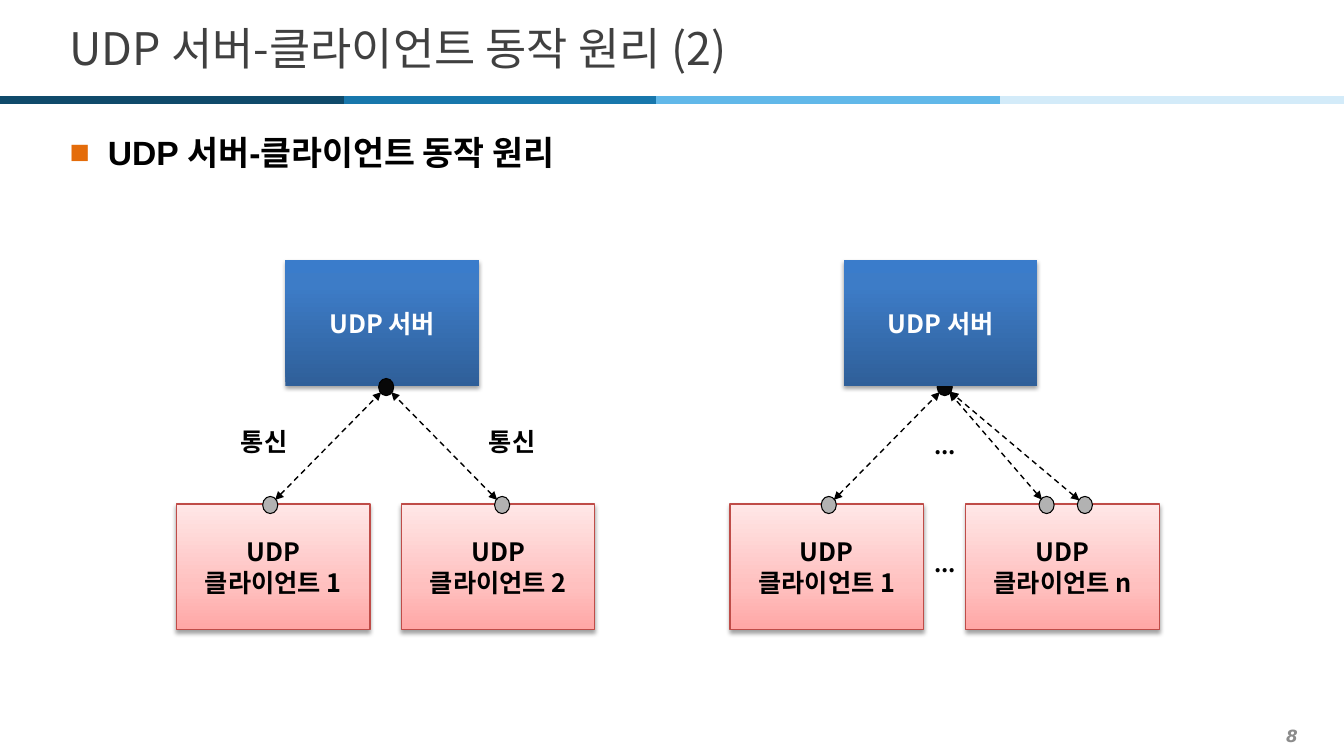
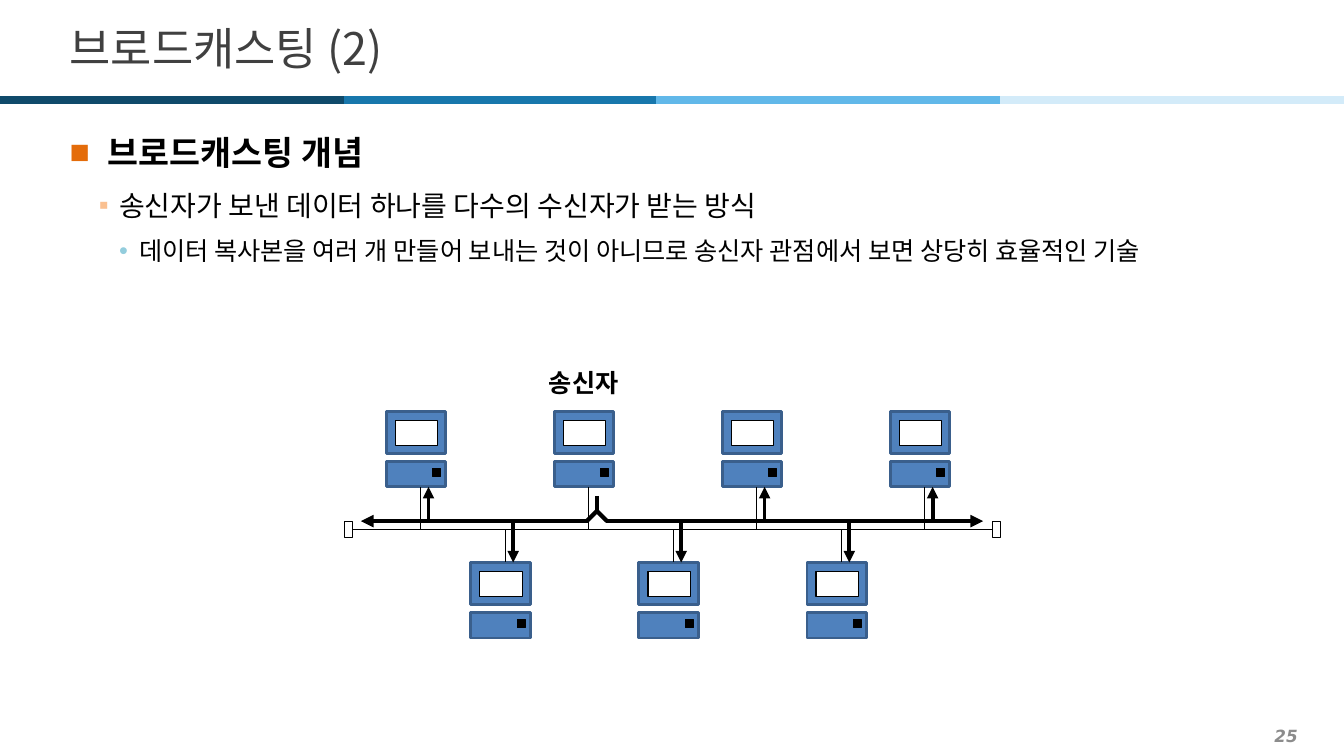
import math

import pptx
import pptx.dml.color
import pptx.enum.dml
import pptx.enum.shapes
import pptx.enum.text
import pptx.oxml
import pptx.oxml.ns
import pptx.util
from lxml import etree

Inches = pptx.util.Inches
Pt = pptx.util.Pt
RGBColor = pptx.dml.color.RGBColor
qn = pptx.oxml.ns.qn
SHAPE = pptx.enum.shapes.MSO_SHAPE
ALIGN = pptx.enum.text.PP_ALIGN
MIDDLE = pptx.enum.text.MSO_ANCHOR.MIDDLE

BLACK = RGBColor(0x00, 0x00, 0x00)
WHITE = RGBColor(0xFF, 0xFF, 0xFF)
TITLE_GREY = RGBColor(0x40, 0x40, 0x40)
NUMBER_GREY = RGBColor(0x8C, 0x8C, 0x8C)
PORT_GREY = RGBColor(0xB2, 0xB2, 0xB2)
SOCKET_BLACK = RGBColor(0x08, 0x08, 0x08)
CLIENT_LINE = RGBColor(0xBF, 0x4C, 0x48)
COMPUTER_BLUE = RGBColor(0x4F, 0x81, 0xBD)
COMPUTER_LINE = RGBColor(0x3A, 0x5F, 0x8C)
ORANGE = RGBColor(0xE4, 0x6C, 0x0A)
PEACH = RGBColor(0xFA, 0xC0, 0x90)
AQUA = RGBColor(0x93, 0xCD, 0xDD)

# start, end, colour; the dark band lies over the one beside it
BANDS = [
    (3.10, 6.51, RGBColor(0x18, 0x77, 0xAC)),
    (6.51, 9.92, RGBColor(0x61, 0xB8, 0xE9)),
    (9.92, 13.33, RGBColor(0xD3, 0xEB, 0xF9)),
    (0, 3.41, RGBColor(0x0F, 0x4A, 0x6B)),
]
# position in percent, colour, from the bottom up
SERVER_STOPS = [(0, RGBColor(0x2F, 0x5F, 0x99)), (80, RGBColor(0x3D, 0x7C, 0xC7)),
                (100, RGBColor(0x3A, 0x7C, 0xCB))]
CLIENT_STOPS = [(0, RGBColor(0xFF, 0xA6, 0xA5)), (35, RGBColor(0xFF, 0xC0, 0xBF)),
                (100, RGBColor(0xFF, 0xE7, 0xE7))]

KOREAN = "Noto Sans CJK KR"
TITLE_FONT = dict(name=KOREAN, size=Pt(32), bold=False)
NUMBER_FONT = dict(name="DejaVu Sans", size=Pt(12), bold=True, italic=True)
LABEL_FONT = dict(name=KOREAN, size=Pt(18), bold=True)
DOTS_FONT = dict(name=KOREAN, size=Pt(16), bold=True)

# one entry for each list level: font, spacing, indents, bullet
LEVELS = [
    dict(font=dict(name="Arial", size=Pt(24), bold=True),
         spacing=dict(line_spacing=1.2, space_before=Pt(0), space_after=Pt(2)),
         margin=0.38, hanging=0.38, bullet="■", color=ORANGE),
    dict(font=dict(name=KOREAN, size=Pt(20), bold=False),
         spacing=dict(line_spacing=1.3, space_before=Pt(2), space_after=Pt(2)),
         margin=0.49, hanging=0.2, bullet="▪", color=PEACH),
    dict(font=dict(name=KOREAN, size=Pt(18), bold=False),
         spacing=dict(line_spacing=1.2, space_before=Pt(3.6), space_after=Pt(6)),
         margin=0.69, hanging=0.2, bullet="•", color=AQUA),
]

SERVER_SIZE = CLIENT_SIZE = (1.92, 1.25)
DOT_WIDTH, DOT_HEIGHT = 0.15, 0.17
PITCH = 5 / 3


def set_all(target, values):
    for name, value in values.items():
        setattr(target, name, value)


def add_span(para, text, font, color):
    span = para.add_run()
    span.text = text
    set_all(span.font, font)
    span.font.color.rgb = color
    etree.SubElement(span.font._element, qn("a:ea"), typeface=KOREAN)


def add_color(parent, color):
    return etree.SubElement(parent, qn("a:srgbClr"), val=str(color))


def add_line(page, start, end, color=BLACK, width=0.75, dashed=False, heads=()):
    """heads names the arrowhead elements wanted: headEnd, tailEnd."""
    line = page.shapes.add_connector(
        pptx.enum.shapes.MSO_CONNECTOR.STRAIGHT,
        *[Inches(value) for value in (*start, *end)])
    line.line.color.rgb = color
    line.line.width = Pt(width)
    if dashed:
        line.line.dash_style = pptx.enum.dml.MSO_LINE.DASH
    properties = line.element.spPr
    for head in heads:
        etree.SubElement(properties.find(qn("a:ln")), qn(f"a:{head}"), type="triangle")
    etree.SubElement(properties, qn("a:effectLst"))
    return line


def add_block(page, kind, left, top, width, height, fill=None, line=BLACK, weight=0.75):
    shape = page.shapes.add_shape(
        kind, *[Inches(value) for value in (left, top, width, height)])
    shape.shadow.inherit = False
    if fill is not None:
        shape.fill.solid()
        shape.fill.fore_color.rgb = fill
    if line is None:
        shape.line.fill.background()
    else:
        shape.line.color.rgb = line
        shape.line.width = Pt(weight)
    return shape


def add_label(page, left, top, width, height, text, font=LABEL_FONT,
              color=BLACK, align=ALIGN.CENTER):
    box = page.shapes.add_textbox(
        *[Inches(value) for value in (left, top, width, height)])
    set_all(box.text_frame, dict(word_wrap=True, vertical_anchor=MIDDLE,
                                 margin_top=0, margin_bottom=0))
    para = box.text_frame.paragraphs[0]
    para.alignment = align
    add_span(para, text, font, color)


def add_node(page, left, top, size, lines, stops, color, line=None):
    """Rectangle with a vertical gradient, a soft shadow and centred text."""
    node = add_block(page, SHAPE.RECTANGLE, left, top, *size, line=line)
    node.fill.gradient()
    node.fill.gradient_angle = 90
    properties = node.element.spPr
    stop_list = properties.find(qn("a:gradFill")).find(qn("a:gsLst"))
    for stop in list(stop_list):
        stop_list.remove(stop)
    for percent, stop_color in stops:
        add_color(etree.SubElement(stop_list, qn("a:gs"), pos=str(percent * 1000)),
                  stop_color)
    shadow = etree.SubElement(
        properties.find(qn("a:effectLst")), qn("a:outerShdw"), blurRad=str(Pt(3.1)),
        dist=str(Pt(1.7)), dir="5400000", rotWithShape="0")
    etree.SubElement(add_color(shadow, BLACK), qn("a:alpha"), val="36000")
    frame = node.text_frame
    set_all(frame, dict(word_wrap=False, vertical_anchor=MIDDLE))
    for index, text in enumerate(lines):
        para = frame.add_paragraph() if index else frame.paragraphs[0]
        para.alignment = ALIGN.CENTER
        add_span(para, text, LABEL_FONT, color)


def add_dot(page, center, fill):
    add_block(page, SHAPE.OVAL, center[0] - DOT_WIDTH / 2, center[1] - DOT_HEIGHT / 2,
              DOT_WIDTH, DOT_HEIGHT, fill)


def add_link(page, port, socket, gap=0.07):
    """Two-way dashed arrow that stops short of both dots."""
    across, down = socket[0] - port[0], socket[1] - port[1]
    share = gap / math.hypot(across, down)
    add_line(page, (port[0] + across * share, port[1] + down * share),
             (socket[0] - across * share, socket[1] - down * share),
             width=1, dashed=True, heads=("headEnd", "tailEnd"))


def draw_server_and_clients(page, left, top, server_offset, clients, socket_in_front):
    """clients lists the offset, name and port offsets of each client."""
    client_top = top + 2.42
    server_left = left + server_offset
    socket = (server_left + 1, top + 1.26)

    def draw_server():
        add_node(page, server_left, top, SERVER_SIZE, ["UDP 서버"], SERVER_STOPS, WHITE)

    def draw_socket():
        add_dot(page, socket, SOCKET_BLACK)

    steps = [draw_server, draw_socket]
    for step in steps if socket_in_front else reversed(steps):
        step()
    for offset, name, ports in clients:
        add_node(page, left + offset, client_top, CLIENT_SIZE,
                 ["UDP", f"클라이언트 {name}"], CLIENT_STOPS, BLACK, CLIENT_LINE)
        for port_offset in ports:
            port = (left + offset + port_offset, client_top + 0.01)
            add_dot(page, port, PORT_GREY)
            add_link(page, port, socket)


def draw_computer(page, left, top):
    parts = [
        (0, 0, 0.59, 0.42, COMPUTER_BLUE, COMPUTER_LINE, 2),
        (0, 0.5, 0.59, 0.25, COMPUTER_BLUE, COMPUTER_LINE, 2),
        (0.46, 0.57, 0.08, 0.08, BLACK, BLACK, 0.75),
        (0.09, 0.09, 0.42, 0.25, WHITE, BLACK, 0.75),
    ]
    for across, down, *rest in parts:
        add_block(page, SHAPE.RECTANGLE, left + across, top + down, *rest)


def draw_network(page, left, top, width):
    """Bus with four computers above it, the second sending, and three below."""
    bus = top + 1.67
    flow = bus - 0.08
    ends = [add_block(page, SHAPE.RECTANGLE, end, bus - 0.08, 0.08, 0.16, WHITE)
            for end in (left, left + width - 0.08)]
    cable = add_line(page, (left + 0.08, bus), (left + width - 0.08, bus))
    cable.begin_connect(ends[0], 3)
    cable.end_connect(ends[1], 1)

    sender = 1
    rows = [(4, left + 0.41, top + 0.5, top + 1.25, sender),
            (3, left + 1.25, top + 2, top + 2, None)]
    for count, first, row_top, port, silent in rows:
        for index in range(count):
            computer = first + index * PITCH
            draw_computer(page, computer, row_top)
            add_line(page, (computer + 0.34, bus), (computer + 0.34, port))
            if index != silent:
                add_line(page, (computer + 0.42, flow), (computer + 0.42, port),
                         width=2.75, heads=("tailEnd",))

    fork = left + 2.5
    add_line(page, (fork, flow - 0.25), (fork, flow - 0.09), width=3)
    for side, tip in ((-1, left + 0.16), (1, left + width - 0.17)):
        add_line(page, (fork, flow - 0.1), (fork + side * 0.1, flow), width=3)
        add_line(page, (fork + side * 0.09, flow), (tip, flow), width=3,
                 heads=("tailEnd",))
    add_label(page, left + 1.41, top, 1.92, 0.42, "송신자")


def place_placeholders(layout):
    for holder, top, height in zip(layout.placeholders, (0.13, 1.18), (0.68, 6.03)):
        set_all(holder, dict(left=Inches(0.59), top=Inches(top),
                             width=Inches(12.21), height=Inches(height)))


def fill_list(frame, items):
    frame.auto_size = pptx.enum.text.MSO_AUTO_SIZE.NONE
    for level, text in enumerate(items):
        style = LEVELS[level]
        para = frame.add_paragraph() if level else frame.paragraphs[0]
        para.level = level
        set_all(para, style["spacing"])
        add_span(para, text, style["font"], BLACK)
        properties = para._p.get_or_add_pPr()
        properties.set("marL", str(Inches(style["margin"])))
        properties.set("indent", str(-Inches(style["hanging"])))
        add_color(etree.SubElement(properties, qn("a:buClr")), style["color"])
        etree.SubElement(properties, qn("a:buChar"), char=style["bullet"])


def add_page(deck, layout, title, items, number):
    """Slide with title, bands, a list one level deeper each line, and number."""
    page = deck.slides.add_slide(layout)
    for start, end, color in BANDS:
        add_line(page, (start, 0.99), (end, 0.99), color, 6)
    frame = page.shapes.title.text_frame
    set_all(frame, dict(vertical_anchor=MIDDLE,
                        auto_size=pptx.enum.text.MSO_AUTO_SIZE.NONE))
    frame.paragraphs[0].alignment = ALIGN.LEFT
    add_span(frame.paragraphs[0], title, TITLE_FONT, TITLE_GREY)
    fill_list(page.placeholders[1].text_frame, items)
    add_label(page, 0.2, 7.14, 12.77, 0.31, str(number), NUMBER_FONT,
              NUMBER_GREY, ALIGN.RIGHT)
    return page


def build_udp_page(deck, layout):
    page = add_page(deck, layout, "UDP 서버-클라이언트 동작 원리 (2)",
                    ["UDP 서버-클라이언트 동작 원리"], 8)
    draw_server_and_clients(page, 1.75, 2.58, 1.08,
                            [(0, "1", [0.93]), (2.23, "2", [1])], True)
    for left in (2.29, 4.75):
        add_label(page, left, 4.25, 1.69, 0.25, "통신", align=ALIGN.LEFT)
    draw_server_and_clients(page, 7.24, 2.58, 1.13,
                            [(0, "1", [0.98]), (2.34, "n", [0.8, 1.18])], False)
    for top in (3.84, 5.01):
        add_label(page, 8.99, top, 0.77, 1.17, "...", DOTS_FONT)


def build_broadcast_page(deck, layout):
    page = add_page(deck, layout, "브로드캐스팅 (2)", [
        "브로드캐스팅 개념",
        "송신자가 보낸 데이터 하나를 다수의 수신자가 받는 방식",
        "데이터 복사본을 여러 개 만들어 보내는 것이 아니므로 "
        "송신자 관점에서 보면 상당히 효율적인 기술",
    ], 25)
    draw_network(page, 3.42, 3.58, 6.5)


def main():
    deck = pptx.Presentation()
    set_all(deck, dict(slide_width=Inches(13.33), slide_height=Inches(7.5)))
    layout = deck.slide_layouts[1]
    place_placeholders(layout)
    build_udp_page(deck, layout)
    build_broadcast_page(deck, layout)
    deck.save("out.pptx")


if __name__ == "__main__":
    main()
